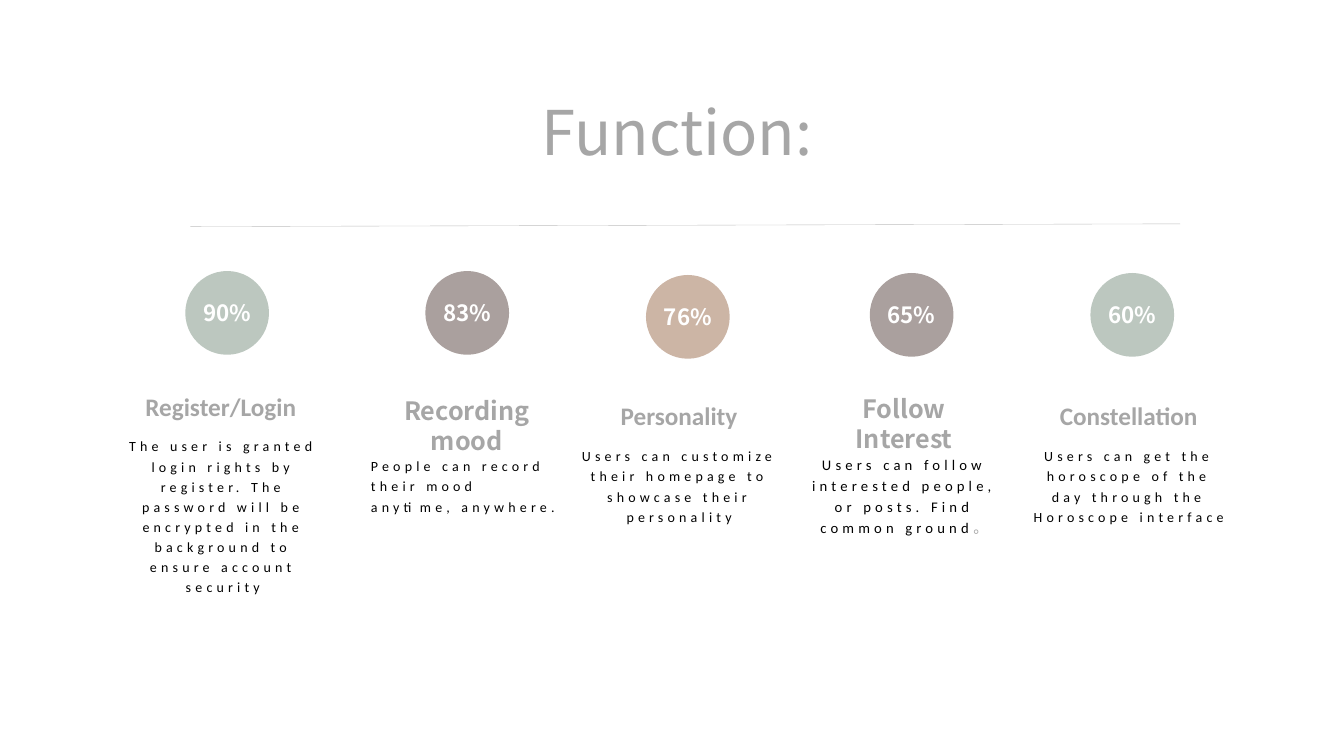
from collections import namedtuple

from lxml.etree import SubElement
from pptx import Presentation
from pptx.dml.color import RGBColor
from pptx.enum.shapes import MSO_CONNECTOR, MSO_SHAPE
from pptx.enum.text import MSO_ANCHOR, MSO_AUTO_SIZE, PP_ALIGN
from pptx.oxml.ns import qn
from pptx.util import Cm, Pt

WHITE = RGBColor(0xFF, 0xFF, 0xFF)
BLACK = RGBColor(0x00, 0x00, 0x00)
GRAY = RGBColor(0xA6, 0xA6, 0xA6)
RULE_GRAY = RGBColor(0xBF, 0xBF, 0xBF)
SAGE = RGBColor(0xBC, 0xC7, 0xBF)
TAUPE = RGBColor(0xAA, 0xA0, 0x9E)
SAND = RGBColor(0xCC, 0xB5, 0xA5)
SANS = "Noto Sans CJK SC"
BODY_FONT = "Calibri"

COLUMN_WIDTH = 5.03
HEADING_HEIGHT = 1.4
CIRCLE_SIZE = 2.11

Feature = namedtuple(
    "Feature",
    "left top circle_left circle_top color percent heading heading_font "
    "body body_height body_inset size align ending",
    defaults=(2.0, 0, 10, PP_ALIGN.CENTER, ""),
)

FEATURES = [
    Feature(3.05, 9.53, 4.67, 6.83, SAGE, "90%", "Register/Login", BODY_FONT,
            "The user is granted login rights by register. The password will be "
            "encrypted in the background to ensure account security",
            body_height=4.06, body_inset=0.1),
    Feature(9.25, 10.03, 10.72, 6.83, TAUPE, "83%", "Recording mood", SANS,
            "People can record their mood anytime, anywhere.",
            body_height=1.5, body_inset=0.1, align=PP_ALIGN.LEFT),
    Feature(14.6, 9.78, 16.28, 6.93, SAND, "76%", "Personality", BODY_FONT,
            "Users can customize their homepage to showcase their personality"),
    Feature(20.27, 9.98, 21.92, 6.88, TAUPE, "65%", "Follow Interest", SANS,
            "Users can follow interested people, or posts. Find common ground",
            body_height=2.1, size=10.5, ending="。"),
    Feature(25.93, 9.78, 27.48, 6.88, SAGE, "60%", "Constellation", BODY_FONT,
            "Users can get the horoscope of the day through the Horoscope interface"),
]


def set_attributes(target, values):
    """Set every named value on the target."""
    for name, value in values.items():
        setattr(target, name, value)


def add_run(paragraph, text, color, values, spacing=0):
    """Append a run with font values, colour and letter spacing in points."""
    run = paragraph.add_run()
    run.text = text
    set_attributes(run.font, values)
    run.font.color.rgb = color
    properties = run.font._element
    if spacing:
        properties.set("spc", str(spacing * 100))
    SubElement(properties, qn("a:ea")).set("typeface", values["name"])


def add_label(slide, kind, box, text, color, values, align, fill=None, wrap=True):
    """Add a preset shape holding one middle-anchored line of text."""
    shape = slide.shapes.add_shape(kind, *map(Cm, box))
    shape.shadow.inherit = False
    shape.line.fill.background()
    if fill is None:
        shape.fill.background()
    else:
        shape.fill.solid()
        shape.fill.fore_color.rgb = fill
    if kind == MSO_SHAPE.ROUNDED_RECTANGLE:
        shape.adjustments[0] = 0.5
    set_attributes(shape.text_frame,
                   {"word_wrap": wrap, "vertical_anchor": MSO_ANCHOR.MIDDLE})
    paragraph = shape.text_frame.paragraphs[0]
    paragraph.alignment = align
    add_run(paragraph, text, color, values)


def add_body(slide, box, feature):
    """Add the letter-spaced description of a feature."""
    frame = slide.shapes.add_textbox(*map(Cm, box)).text_frame
    set_attributes(frame, {
        "word_wrap": True, "auto_size": MSO_AUTO_SIZE.SHAPE_TO_FIT_TEXT,
        "margin_left": 0, "margin_right": 0, "margin_top": 0, "margin_bottom": 0,
    })
    paragraph = frame.paragraphs[0]
    set_attributes(paragraph, {"alignment": feature.align, "line_spacing": 1.2})
    size = Pt(feature.size)
    add_run(paragraph, feature.body, BLACK, {"name": BODY_FONT, "size": size}, 3)
    if feature.ending:
        add_run(paragraph, feature.ending, GRAY, {"name": SANS, "size": size}, 3)


def add_header(slide, left, top, width):
    """Add the title and the thin rule below it."""
    add_label(slide, MSO_SHAPE.ROUNDED_RECTANGLE, (left + 8.28, top, 13.16, 2.16),
              "Function:", GRAY, {"name": SANS, "size": Pt(44)}, PP_ALIGN.LEFT)
    rule = slide.shapes.add_connector(
        MSO_CONNECTOR.STRAIGHT, Cm(left), Cm(top + 3.5), Cm(left + width), Cm(top + 3.43))
    rule.line.color.rgb = RULE_GRAY
    rule.line.width = Pt(0.25)
    SubElement(rule._element.spPr, qn("a:effectLst"))


def add_feature(slide, feature):
    """Add the percentage circle, heading and description of one column."""
    add_label(slide, MSO_SHAPE.OVAL,
              (feature.circle_left, feature.circle_top, CIRCLE_SIZE, CIRCLE_SIZE),
              feature.percent, WHITE, {"name": SANS, "size": Pt(16), "bold": True},
              PP_ALIGN.CENTER, fill=feature.color, wrap=False)
    add_body(slide, (feature.left + feature.body_inset, feature.top + HEADING_HEIGHT + 0.02,
                     COLUMN_WIDTH - feature.body_inset, feature.body_height), feature)
    add_label(slide, MSO_SHAPE.ROUNDED_RECTANGLE,
              (feature.left, feature.top, COLUMN_WIDTH, HEADING_HEIGHT), feature.heading, GRAY,
              {"name": feature.heading_font, "size": Pt(18), "bold": True}, PP_ALIGN.CENTER)


def main():
    """Build the function overview slide."""
    presentation = Presentation()
    set_attributes(presentation, {"slide_width": Cm(33.87), "slide_height": Cm(19.05)})
    slide = presentation.slides.add_slide(presentation.slide_layouts[6])
    add_header(slide, left=4.8, top=2.21, width=24.94)
    for feature in FEATURES:
        add_feature(slide, feature)
    presentation.save("out.pptx")


if __name__ == "__main__":
    main()
